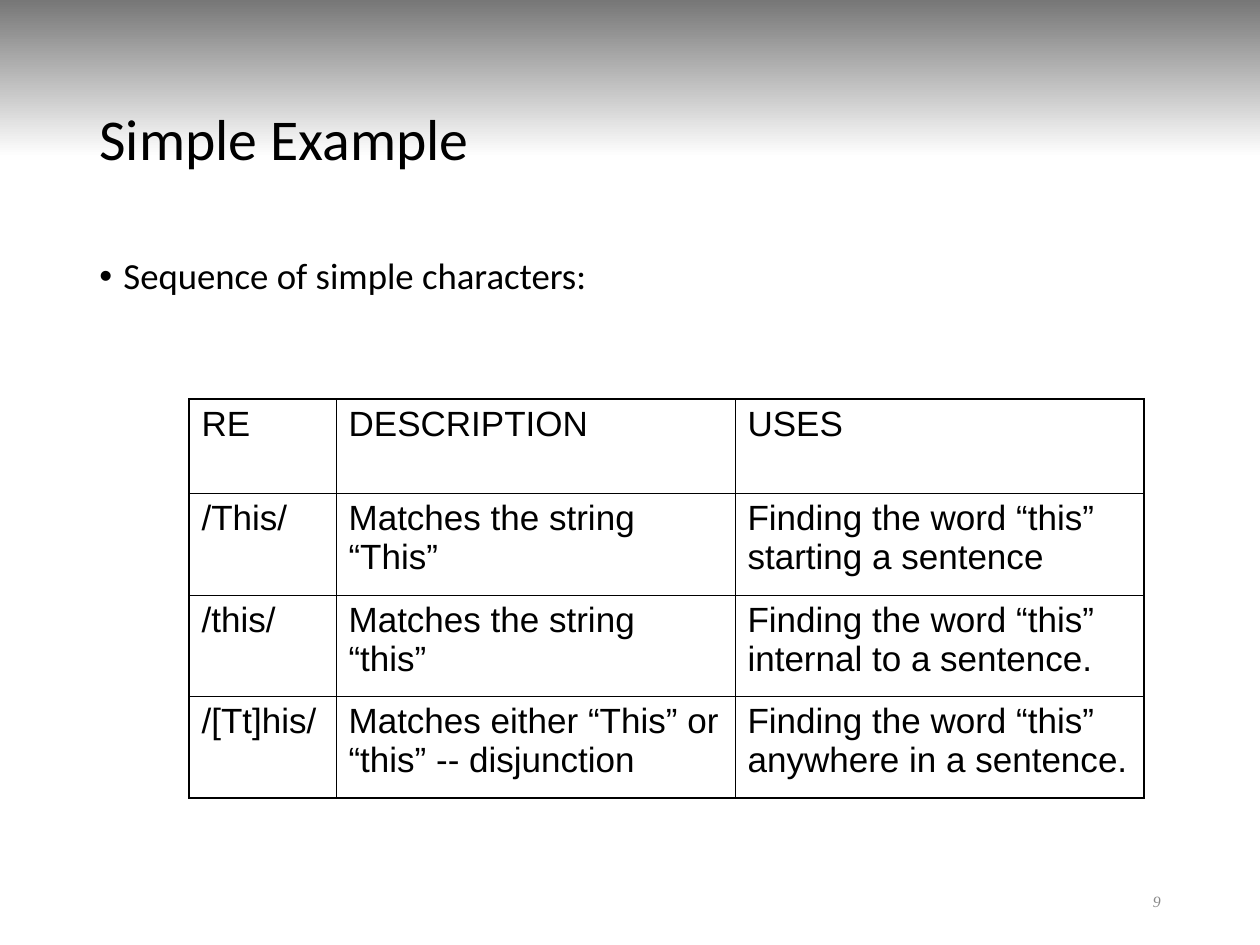
import pptx
import pptx.dml.color
import pptx.enum.shapes
import pptx.enum.text
import pptx.oxml
import pptx.oxml.ns
import pptx.util
from lxml import etree

EMU_PER_PX = 914400 / 126
BLACK = "000000"
ANCHOR = pptx.enum.text.MSO_ANCHOR
ALIGN = pptx.enum.text.PP_ALIGN


def px(length):
    return pptx.util.Emu(round(length * EMU_PER_PX))


def color(hex_string):
    return pptx.dml.color.RGBColor.from_string(hex_string)


def add_child(parent, tag, **attributes):
    child = etree.SubElement(parent, pptx.oxml.ns.qn(tag))
    for name, value in attributes.items():
        child.set(name, str(value))
    return child


def write(frame, text, font="Arial", size=20, fill=BLACK, italic=False,
          align=None, line_spacing=None, space_before=None):
    """Fill the first paragraph of a text frame and return it."""
    para = frame.paragraphs[0]
    para.alignment = align
    para.line_spacing = line_spacing
    if space_before is not None:
        para.space_before = pptx.util.Pt(space_before)
    span = para.add_run()
    span.text = text
    span.font.name = font
    span.font.size = pptx.util.Pt(size)
    span.font.italic = italic
    span.font.color.rgb = color(fill)
    return para


class SlideBuilder:
    thin = 0.45
    thick = 1.08

    def __init__(self, page):
        self.page = page

    def gradient_band(self, left, top, width, height, start, end):
        """Draw a rectangle that fades from top to bottom."""
        band = self.page.shapes.add_shape(
            pptx.enum.shapes.MSO_SHAPE.RECTANGLE,
            px(left), px(top), px(width), px(height))
        band.shadow.inherit = False
        band.line.fill.background()
        band.fill.gradient()
        band.fill.gradient_angle = 270
        for stop, shade in zip(band.fill.gradient_stops, (start, end)):
            stop.color.rgb = color(shade)

    def text(self, left, top, width, height, text, anchor=ANCHOR.TOP, **style):
        box = self.page.shapes.add_textbox(px(left), px(top), px(width), px(height))
        frame = box.text_frame
        frame.word_wrap = True
        frame.vertical_anchor = anchor
        return write(frame, text, **style)

    def bullet(self, *place, indent=24, **style):
        para = self.text(*place, **style)
        properties = para._p.get_or_add_pPr()
        properties.set("marL", str(px(indent)))
        properties.set("indent", str(-px(indent)))
        add_child(add_child(properties, "a:buClr"), "a:srgbClr", val=BLACK)
        add_child(properties, "a:buFont", typeface="Arial")
        add_child(properties, "a:buChar", char="•")

    def cell_borders(self, cell, widths):
        properties = cell._tc.get_or_add_tcPr()
        for side, points in widths.items():
            line = add_child(properties, "a:ln" + side, w=pptx.util.Pt(points))
            add_child(add_child(line, "a:solidFill"), "a:srgbClr", val=BLACK)

    def table(self, left, top, widths, heights, rows, **style):
        """Draw a grid with a thick frame and thin inner lines."""
        grid = self.page.shapes.add_table(
            len(heights), len(widths), px(left), px(top),
            px(sum(widths)), px(sum(heights))).table
        grid.first_row = False
        grid.horz_banding = False
        for column, width in zip(grid.columns, widths):
            column.width = px(width)
        for r, (height, texts) in enumerate(zip(heights, rows)):
            grid.rows[r].height = px(height)
            for c, text in enumerate(texts):
                cell = grid.cell(r, c)
                on_frame = {"L": c == 0, "R": c == len(widths) - 1,
                            "T": r == 0, "B": r == len(heights) - 1}
                self.cell_borders(cell, {side: self.thick if outer else self.thin
                                         for side, outer in on_frame.items()})
                cell.fill.background()
                write(cell.text_frame, text, **style)


def main():
    deck = pptx.Presentation()
    deck.slide_width, deck.slide_height = px(1260), px(945)
    builder = SlideBuilder(deck.slides.add_slide(deck.slide_layouts[6]))

    builder.gradient_band(0, 0, 1260, 157, "777777", "FFFFFF")
    builder.text(87, 50, 1087, 183, "Simple Example", anchor=ANCHOR.MIDDLE,
                 font="Calibri", size=33, line_spacing=0.9)
    builder.bullet(87, 252, 1087, 600, text="Sequence of simple characters:",
                   font="Calibri", size=21, line_spacing=0.9, space_before=7.5)
    builder.table(
        189, 399, [147, 399, 409], [94, 102, 101, 102],
        [["RE", "DESCRIPTION", "USES"],
         ["/This/", "Matches the string “This”",
          "Finding the word “this” starting a sentence"],
         ["/this/", "Matches the string “this”",
          "Finding the word “this” internal to a sentence."],
         ["/[Tt]his/", "Matches either “This” or “this” -- disjunction",
          "Finding the word “this” anywhere in a sentence."]],
        space_before=5)
    builder.text(890, 876, 283, 50, "9", anchor=ANCHOR.MIDDLE,
                 font="Times New Roman", size=9, fill="898989", italic=True,
                 align=ALIGN.RIGHT)
    deck.save("out.pptx")


if __name__ == "__main__":
    main()
